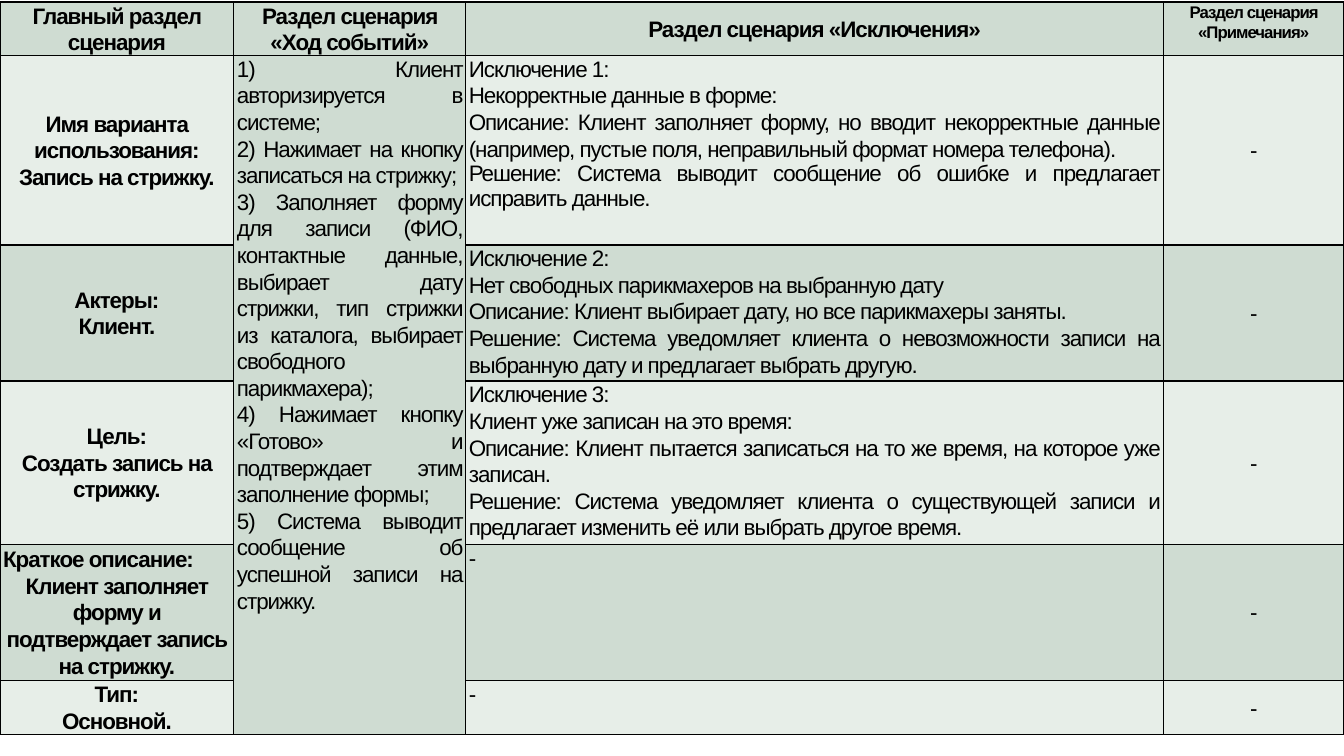
from copy import deepcopy

from lxml.etree import SubElement
from pptx import Presentation
from pptx.dml.color import RGBColor
from pptx.enum.text import MSO_ANCHOR, PP_ALIGN
from pptx.oxml.ns import qn
from pptx.util import Inches, Pt

# Content: each cell is a list of paragraphs
HEADERS = [
    "Главный раздел сценария",
    "Раздел сценария «Ход событий»",
    "Раздел сценария «Исключения»",
    "Раздел сценария «Примечания»",
]
EVENTS = [
    "1) Клиент авторизируется в системе;",
    "2) Нажимает на кнопку записаться на стрижку;",
    "3) Заполняет форму для записи (ФИО, контактные данные, выбирает дату стрижки, "
    "тип стрижки из каталога, выбирает свободного парикмахера);",
    "4) Нажимает кнопку «Готово» и подтверждает этим заполнение формы;",
    "5) Система выводит сообщение об успешной записи на стрижку.",
]
SECTIONS = [  # main section, exceptions
    (["Имя варианта использования:\nЗапись на стрижку."],
     ["Исключение 1:",
      "Некорректные данные в форме:",
      "Описание: Клиент заполняет форму, но вводит некорректные данные "
      "(например, пустые поля, неправильный формат номера телефона).",
      "Решение: Система выводит сообщение об ошибке и предлагает исправить данные."]),
    (["Актеры:", "Клиент."],
     ["Исключение 2:",
      "Нет свободных парикмахеров на выбранную дату",
      "Описание: Клиент выбирает дату, но все парикмахеры заняты.",
      "Решение: Система уведомляет клиента о невозможности записи на выбранную дату "
      "и предлагает выбрать другую."]),
    (["Цель:", "Создать запись на стрижку."],
     ["Исключение 3:",
      "Клиент уже записан на это время:",
      "Описание: Клиент пытается записаться на то же время, на которое уже записан.",
      "Решение: Система уведомляет клиента о существующей записи "
      "и предлагает изменить её или выбрать другое время."]),
    (["Краткое описание:", "Клиент заполняет форму и подтверждает запись на стрижку."], ["-"]),
    (["Тип:", "Основной."], ["-"]),
]
NOTE = ["-"]

COLUMN_WIDTHS = [2.32, 2.3, 6.92, 1.79]
ROW_HEIGHTS = [0.53, 1.88, 1.35, 1.62, 1.35, 0.54]
DARK, LIGHT, BLACK = "CFDCD2", "E7EEE8", "000000"
SPACING = 1.07


def color(value):
    return RGBColor.from_string(value)


def add_borders(cell):
    properties = cell._tc.get_or_add_tcPr()
    for position, side in enumerate(("a:lnL", "a:lnR", "a:lnT", "a:lnB")):
        line = SubElement(properties, qn(side), w=str(Pt(1)))
        fill = SubElement(line, qn("a:solidFill"))
        SubElement(fill, qn("a:srgbClr"), val=BLACK)
        properties.insert(position, line)


def style_cell(cell, fill):
    cell.margin_left = cell.margin_right = Inches(0.03)
    cell.margin_top = cell.margin_bottom = 0
    cell.fill.solid()
    cell.fill.fore_color.rgb = color(fill)
    add_borders(cell)


def write(cell, lines, align, bold=False, size=16, after=0, middle=True):
    cell.vertical_anchor = MSO_ANCHOR.MIDDLE if middle else MSO_ANCHOR.TOP
    frame = cell.text_frame
    for index, line in enumerate(lines):
        paragraph = frame.add_paragraph() if index else frame.paragraphs[0]
        paragraph.text = line
        paragraph.alignment = align
        paragraph.line_spacing = SPACING
        paragraph.space_after = Pt(after)
        for run in paragraph.runs:
            run.font.name = "Arial"
            run.font.size = Pt(size)
            run.font.bold = bold
            run.font.color.rgb = color(BLACK)
            run._r.get_or_add_rPr().set("spc", "-70")
        # Line breaks take the format of the text around them
        for line_break in paragraph._p.findall(qn("a:br")):
            line_break.append(deepcopy(paragraph.runs[0]._r.rPr))


prs = Presentation()
prs.slide_width, prs.slide_height = Inches(13.33), Inches(7.5)
slide = prs.slides.add_slide(prs.slide_layouts[6])

# Table grid
table = slide.shapes.add_table(
    len(ROW_HEIGHTS), len(COLUMN_WIDTHS), 0, Inches(0.02),
    Inches(sum(COLUMN_WIDTHS)), Inches(sum(ROW_HEIGHTS))).table
for column, width in zip(table.columns, COLUMN_WIDTHS):
    column.width = Inches(width)
for row, height in zip(table.rows, ROW_HEIGHTS):
    row.height = Inches(height)
for row_index, row in enumerate(table.rows):
    for column_index, cell in enumerate(row.cells):
        banded = row_index % 2 and column_index != 1
        style_cell(cell, LIGHT if banded else DARK)

# Header row: the narrow notes column is set smaller
for column_index, header in enumerate(HEADERS):
    is_notes = column_index == len(HEADERS) - 1
    write(table.cell(0, column_index), [header], PP_ALIGN.CENTER, bold=True,
          size=12 if is_notes else 16, after=8, middle=not is_notes)

# Course of events spans all body rows
events = table.cell(1, 1)
events.merge(table.cell(len(SECTIONS), 1))
write(events, EVENTS, PP_ALIGN.JUSTIFY, middle=False)

# Body rows
for row_index, (main, exceptions) in enumerate(SECTIONS, 1):
    write(table.cell(row_index, 0), main, PP_ALIGN.CENTER, bold=True)
    write(table.cell(row_index, 2), exceptions, PP_ALIGN.JUSTIFY, middle=False)
    write(table.cell(row_index, 3), NOTE, PP_ALIGN.CENTER, after=8)

# Two paragraphs differ from their column
table.cell(1, 2).text_frame.paragraphs[-1].line_spacing = 1.0
table.cell(4, 0).text_frame.paragraphs[0].alignment = PP_ALIGN.JUSTIFY

prs.save("out.pptx")
